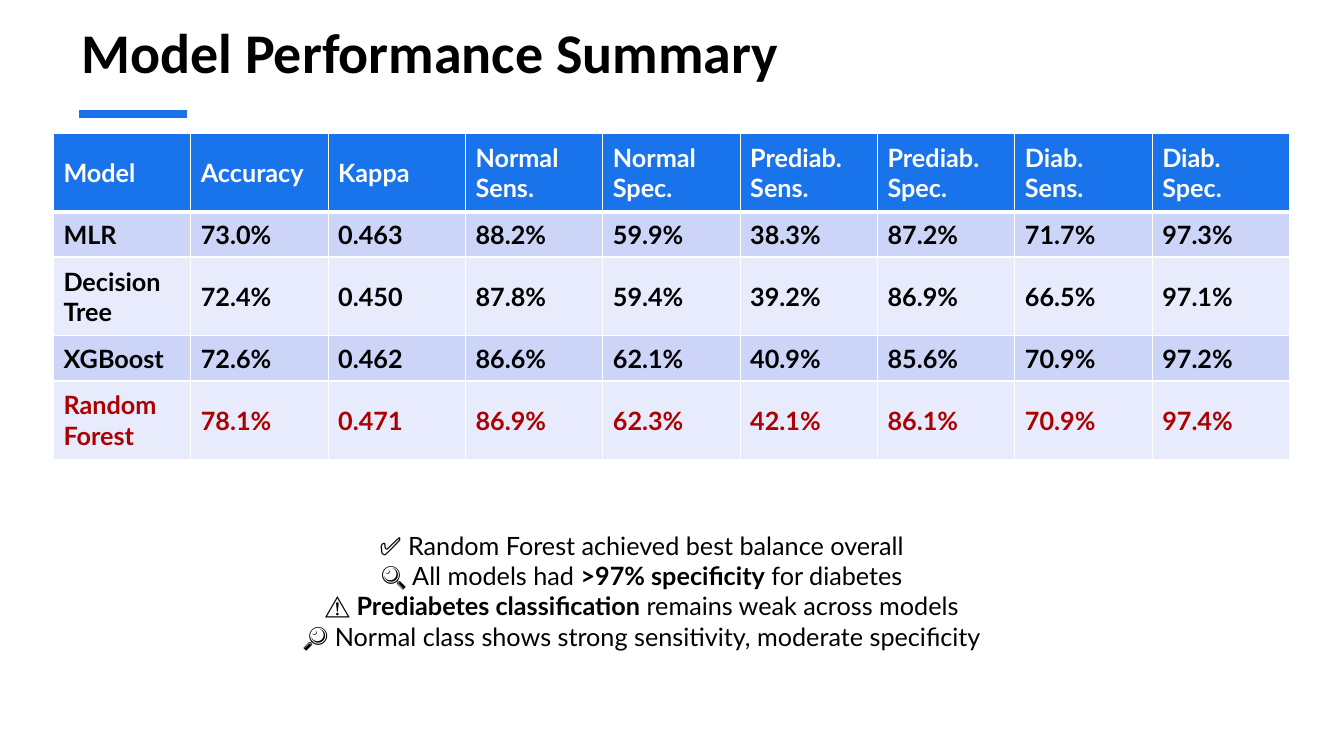
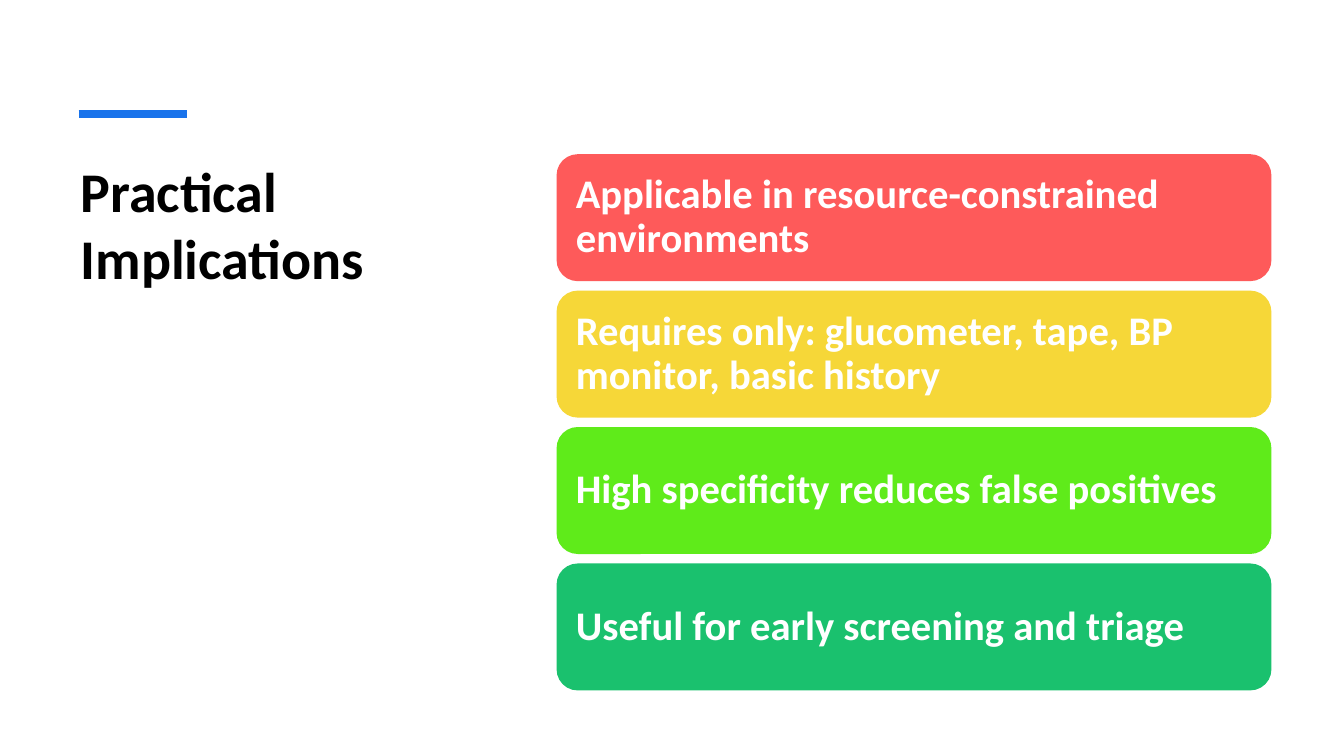
from lxml import etree
from pptx import Presentation
from pptx.dml.color import RGBColor
from pptx.enum import shapes, text
from pptx.oxml import ns
from pptx.util import Inches, Pt

BLUE = RGBColor(0x19, 0x73, 0xEB)
BAND_DARK = RGBColor(0xCC, 0xD5, 0xF7)
BAND_LIGHT = RGBColor(0xE8, 0xEB, 0xFB)
RED = RGBColor(0xAB, 0x01, 0x01)
BLACK = RGBColor(0, 0, 0)
WHITE = RGBColor(0xFF, 0xFF, 0xFF)

TITLE_FONT = {"name": "Calibri", "size": Pt(40), "bold": True}
TABLE_FONT = {"name": "Lato", "size": Pt(18), "bold": True}
FINDING_FONT = {"name": "Lato", "size": Pt(18)}
CARD_FONT = {"name": "Calibri", "size": Pt(29), "bold": True}

METRICS = ["Model", "Accuracy", "Kappa", "Normal Sens.", "Normal Spec.",
           "Prediab. Sens.", "Prediab. Spec.", "Diab. Sens.", "Diab. Spec."]
RESULTS = [
    ["MLR", "73.0%", "0.463", "88.2%", "59.9%", "38.3%", "87.2%", "71.7%", "97.3%"],
    ["Decision Tree", "72.4%", "0.450", "87.8%", "59.4%", "39.2%", "86.9%", "66.5%", "97.1%"],
    ["XGBoost", "72.6%", "0.462", "86.6%", "62.1%", "40.9%", "85.6%", "70.9%", "97.2%"],
    ["Random Forest", "78.1%", "0.471", "86.9%", "62.3%", "42.1%", "86.1%", "70.9%", "97.4%"],
]
BEST_MODEL = "Random Forest"
ROW_HEIGHTS = [0.78, 0.45, 0.78, 0.45, 0.78]

# Each finding is one line of (wording, bold) pieces
FINDINGS = [
    [("✅ Random Forest achieved best balance overall", False)],
    [("🔍 All models had ", False), (">97% specificity", True), (" for diabetes", False)],
    [("⚠️ ", False), ("Prediabetes classification", True),
     (" remains weak across models", False)],
    [("🔎 Normal class shows strong sensitivity, moderate specificity", False)],
]

IMPLICATIONS = [
    ("Applicable in resource-constrained environments", RGBColor(0xFE, 0x5A, 0x5A)),
    ("Requires only: glucometer, tape, BP monitor, basic history", RGBColor(0xF6, 0xD7, 0x38)),
    ("High specificity reduces false positives", RGBColor(0x5F, 0xEB, 0x1A)),
    ("Useful for early screening and triage", RGBColor(0x1A, 0xC1, 0x6E)),
]
CARDS_TOP, CARDS_BOTTOM, CARD_HEIGHT = 1.53, 6.85, 1.26


def style(font, color, values):
    for key, value in values.items():
        setattr(font, key, value)
    font.color.rgb = color


def add_titled_slide(prs, wording, left, top, width, height):
    slide = prs.slides.add_slide(prs.slide_layouts[5])
    title = slide.shapes.title
    title.left, title.top = Inches(left), Inches(top)
    title.width, title.height = Inches(width), Inches(height)
    frame = title.text_frame
    frame.text = wording
    frame.auto_size = text.MSO_AUTO_SIZE.NONE
    frame.vertical_anchor = text.MSO_ANCHOR.TOP
    heading = frame.paragraphs[0]
    heading.alignment = text.PP_ALIGN.LEFT
    style(heading.font, BLACK, TITLE_FONT)

    # Short accent rule, at the same place on every slide
    rule = slide.shapes.add_connector(shapes.MSO_CONNECTOR.STRAIGHT, Inches(0.78),
                                      Inches(1.13), Inches(1.85), Inches(1.13))
    rule.line.color.rgb = BLUE
    rule.line.width = Pt(6)
    etree.SubElement(rule.element.spPr, ns.qn("a:effectLst"))
    return slide


def add_borders(cell, top, bottom):
    props = cell._tc.get_or_add_tcPr()
    for side, points in {"L": 1, "R": 1, "T": top, "B": bottom}.items():
        edge = etree.SubElement(props, ns.qn(f"a:ln{side}"), w=str(Pt(points)))
        fill = etree.SubElement(edge, ns.qn("a:solidFill"))
        etree.SubElement(fill, ns.qn("a:srgbClr"), val=str(WHITE))


def add_results_table(slide):
    rows = [METRICS] + RESULTS
    table = slide.shapes.add_table(len(rows), len(METRICS), Inches(0.53), Inches(1.32),
                                   Inches(12.26), Inches(sum(ROW_HEIGHTS))).table
    for row, height in zip(table.rows, ROW_HEIGHTS):
        row.height = Inches(height)
    for r, row in enumerate(rows):
        if r == 0:
            fill, color = BLUE, WHITE
        else:
            fill = BAND_DARK if r % 2 else BAND_LIGHT
            color = RED if row[0] == BEST_MODEL else BLACK
        for c, value in enumerate(row):
            cell = table.cell(r, c)
            add_borders(cell, top=3 if r == 1 else 1, bottom=3 if r == 0 else 1)
            cell.fill.solid()
            cell.fill.fore_color.rgb = fill
            cell.vertical_anchor = text.MSO_ANCHOR.MIDDLE
            cell.text = value
            style(cell.text_frame.paragraphs[0].runs[0].font, color, TABLE_FONT)


def add_findings(slide):
    box = slide.shapes.add_textbox(Inches(0.92), Inches(5.21), Inches(10.89), Inches(1.31))
    box.text_frame.word_wrap = True
    paragraph = box.text_frame.paragraphs[0]
    paragraph.alignment = text.PP_ALIGN.CENTER
    for i, finding in enumerate(FINDINGS):
        if i:
            paragraph.add_line_break()
        for wording, bold in finding:
            run = paragraph.add_run()
            run.text = wording
            style(run.font, BLACK, {**FINDING_FONT, "bold": bold})


def add_implication_cards(slide):
    pitch = (CARDS_BOTTOM - CARDS_TOP - CARD_HEIGHT) / (len(IMPLICATIONS) - 1)
    for i, (wording, color) in enumerate(IMPLICATIONS):
        card = slide.shapes.add_shape(
            shapes.MSO_SHAPE.ROUNDED_RECTANGLE, Inches(5.52), Inches(CARDS_TOP + i * pitch),
            Inches(7.09), Inches(CARD_HEIGHT))
        card.shadow.inherit = False
        card.fill.solid()
        card.fill.fore_color.rgb = color
        card.line.fill.background()
        frame = card.text_frame
        frame.word_wrap = True
        frame.vertical_anchor = text.MSO_ANCHOR.MIDDLE
        frame.margin_left = frame.margin_right = Inches(0.13)
        frame.text = wording
        paragraph = frame.paragraphs[0]
        paragraph.alignment = text.PP_ALIGN.LEFT
        paragraph.line_spacing = 0.9
        style(paragraph.runs[0].font, WHITE, CARD_FONT)


def main():
    prs = Presentation()
    prs.slide_width, prs.slide_height = Inches(13.33), Inches(7.5)

    # Model results
    summary = add_titled_slide(prs, "Model Performance Summary", 0.71, 0.12, 11.91, 1.2)
    add_results_table(summary)
    add_findings(summary)

    # Practical implications
    implications = add_titled_slide(prs, "Practical Implications", 0.7, 1.5, 4.02, 4.29)
    add_implication_cards(implications)

    prs.save("out.pptx")


if __name__ == "__main__":
    main()
